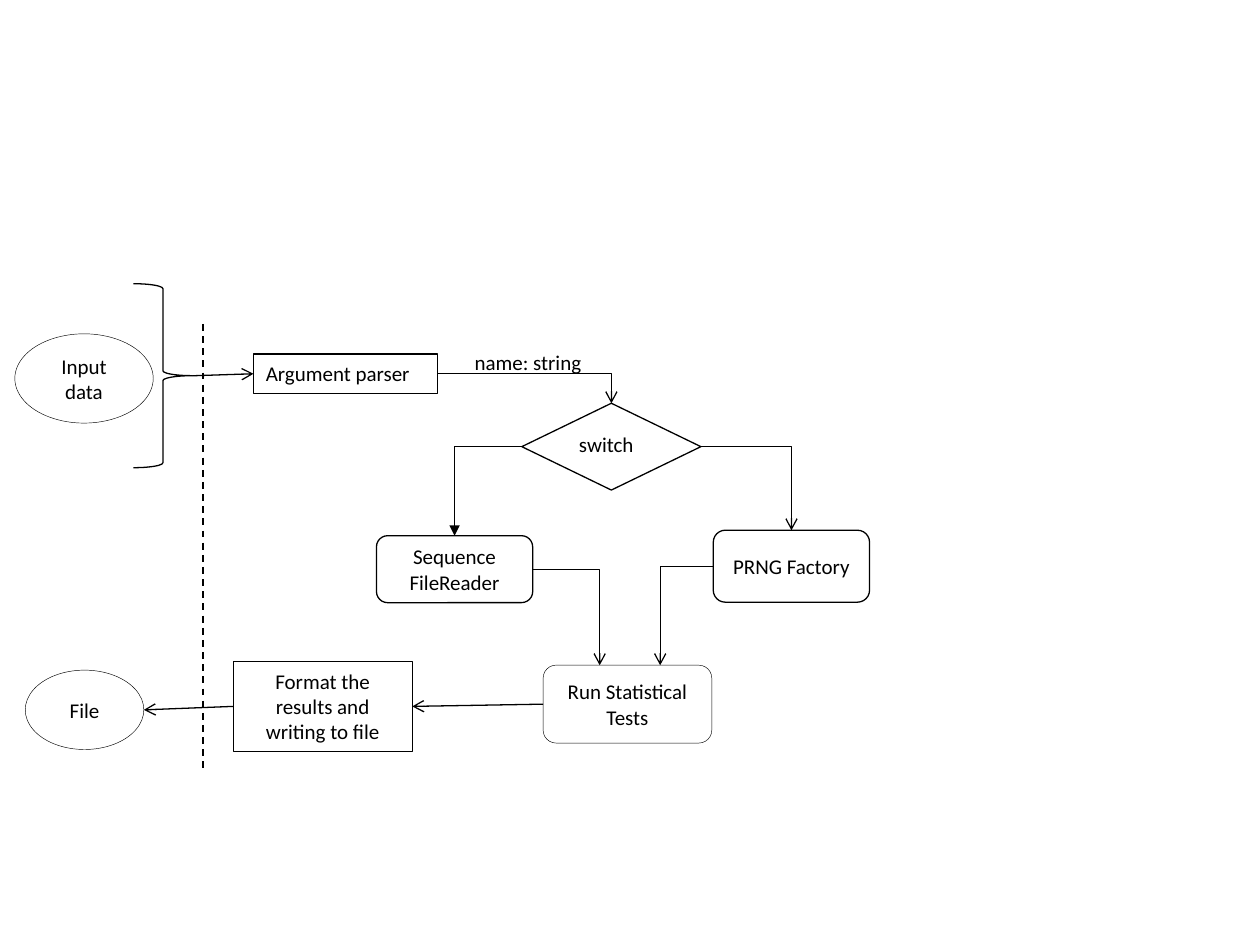
from lxml import etree
from pptx import Presentation
from pptx.dml.color import RGBColor
from pptx.enum import dml, shapes, text
from pptx.oxml import ns
from pptx.util import Cm, Pt

HUES = {"ink": "000000", "paper": "FFFFFF"}
KIND = shapes.MSO_SHAPE
LINK = shapes.MSO_CONNECTOR
LEFT, RIGHT = 1, 3


def hue(name):
    return RGBColor.from_string(HUES[name])


def write(frame, words, align):
    frame.text = words
    par = frame.paragraphs[0]
    par.alignment = align
    par.font.name = "Calibri"
    par.font.size = Pt(12)
    par.font.color.rgb = hue("ink")


def stroke(line, width):
    line.color.rgb = hue("ink")
    line.width = Pt(width)


def node(slide, kind, box, words="", width=0.75, mid=True):
    """Outlined shape; its text is centred, or starts at top left."""
    shape = slide.shapes.add_shape(kind, *map(Cm, box))
    shape.shadow.inherit = False
    stroke(shape.line, width)
    if words:
        shape.fill.solid()
        shape.fill.fore_color.rgb = hue("paper")
        frame = shape.text_frame
        frame.word_wrap = True
        frame.vertical_anchor = text.MSO_ANCHOR.MIDDLE if mid else text.MSO_ANCHOR.TOP
        write(frame, words, text.PP_ALIGN.CENTER if mid else text.PP_ALIGN.LEFT)
    else:
        shape.fill.background()
    return shape


def side(shape, spot):
    """Middle of the left or right side."""
    x = shape.left + (shape.width if spot == RIGHT else 0)
    return x, shape.top + shape.height // 2


def top(shape, shift=0):
    return shape.left + shape.width // 2 + Cm(shift), shape.top


def link(slide, start, end, head="arrow", bent=False, width=0.75):
    kind = LINK.ELBOW if bent else LINK.STRAIGHT
    wire = slide.shapes.add_connector(kind, *start, *end)
    stroke(wire.line, width)
    props = wire._element.spPr
    if bent:  # a single corner: across, then down
        props.find(ns.qn("a:prstGeom")).set("prst", "bentConnector2")
    if head:
        tail = etree.SubElement(wire.line._get_or_add_ln(), ns.qn("a:tailEnd"))
        tail.set("type", head)
    etree.SubElement(props, ns.qn("a:effectLst"))
    return wire


def border(slide, x, y, height):
    """Dashed border between the outside world and the program."""
    wire = link(slide, (Cm(x), Cm(y)), (Cm(x), Cm(y + height)), head=None, width=1)
    wire.line.dash_style = dml.MSO_LINE.DASH


def intake(slide, x, y):
    """Input data, brace and parser."""
    brace = node(slide, KIND.RIGHT_BRACE, (x + 2.39, y, 1.19, 3.71))
    node(slide, KIND.OVAL, (x, y + 1.01, 2.79, 1.8), "Input data", 0.25)
    parser = node(slide, KIND.RECTANGLE, (x + 4.81, y + 1.42, 3.71, 0.79),
                  "Argument parser", mid=False)
    wire = link(slide, side(brace, RIGHT), side(parser, LEFT))
    wire.end_connect(parser, LEFT)
    return parser


def choice(slide, x, y):
    """Switch with its two sources."""
    switch = node(slide, KIND.FLOWCHART_DECISION, (x + 2.93, y + 1.2, 3.61, 1.75),
                  "switch", mid=False)
    reader = node(slide, KIND.ROUNDED_RECTANGLE, (x, y + 3.87, 3.15, 1.35),
                  "Sequence FileReader")
    maker = node(slide, KIND.ROUNDED_RECTANGLE, (x + 6.79, y + 3.76, 3.15, 1.45),
                 "PRNG Factory")
    link(slide, side(switch, LEFT), top(reader), "triangle", bent=True)
    link(slide, side(switch, RIGHT), top(maker), bent=True)

    # Label over the way in
    label = slide.shapes.add_textbox(Cm(x + 1.71), Cm(y), Cm(2.69), Cm(0.76))
    label.text_frame.word_wrap = False
    write(label.text_frame, "name: string", text.PP_ALIGN.CENTER)
    return switch, reader, maker


def output(slide, x, y):
    """Tests, formatting and the file, from right to left."""
    tests = node(slide, KIND.ROUNDED_RECTANGLE, (x + 10.44, y + 0.07, 3.4, 1.57),
                 "Run Statistical Tests", 0.25)
    report = node(slide, KIND.RECTANGLE, (x + 4.19, y, 3.61, 1.8),
                  "Format the results and writing to file", 0.25)
    file = node(slide, KIND.OVAL, (x, y + 0.17, 2.39, 1.6), "File", 0.25)
    wire = link(slide, side(tests, LEFT), side(report, RIGHT))
    wire.begin_connect(tests, LEFT)
    wire.end_connect(report, RIGHT)
    wire = link(slide, side(report, LEFT), side(file, RIGHT))
    wire.begin_connect(report, LEFT)
    return tests


def main():
    deck = Presentation()
    deck.slide_width, deck.slide_height = Cm(25.4), Cm(19.05)
    slide = deck.slides.add_slide(deck.slide_layouts[6])

    parser = intake(slide, 0.3, 5.72)
    switch, reader, maker = choice(slide, 7.59, 6.93)
    tests = output(slide, 0.51, 13.34)
    border(slide, 4.09, 6.53, 8.99)

    # Links between the regions
    link(slide, side(parser, RIGHT), top(switch), bent=True)
    link(slide, side(reader, RIGHT), top(tests, -0.56), bent=True)
    link(slide, side(maker, LEFT), top(tests, 0.66), bent=True)
    deck.save("out.pptx")


if __name__ == "__main__":
    main()
